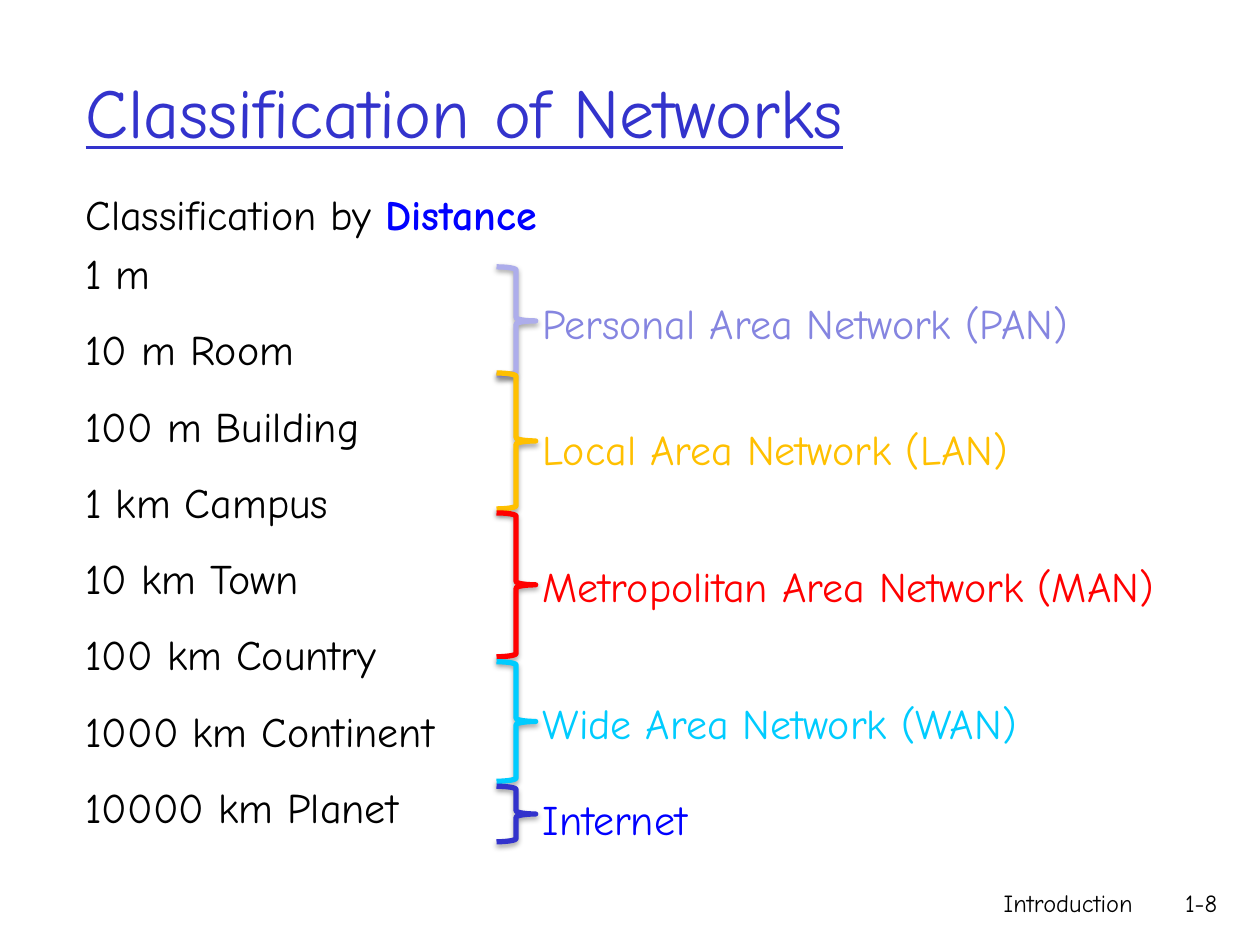
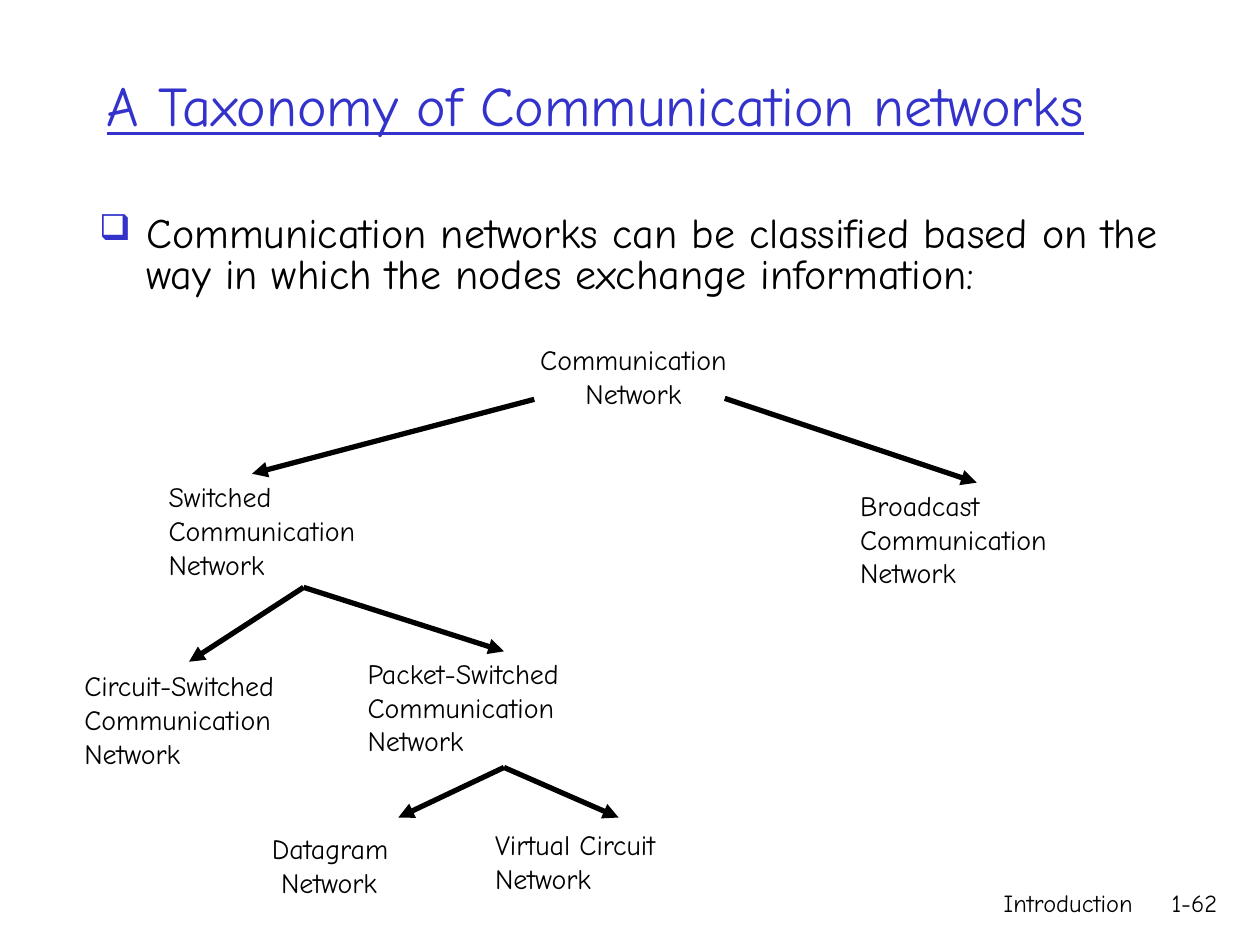
"""Build two slides on how communication networks are classified."""
from lxml import etree
from pptx import Presentation
from pptx import util as u
from pptx.dml.color import RGBColor
from pptx.enum import shapes, text as t
from pptx.oxml.ns import qn

FONT = "Comic Neue"
BLACK, HEADING, BLUE = "000000", "3333CC", "0000FF"
AMBER, RED, CYAN = "FFC000", "FF0000", "00CCFF"


def rgb(value):
    return RGBColor.from_string(value)


def write(slide, words, box, size=24, color=BLACK, align="LEFT", anchor="TOP",
          underline=None, strong="", bullet="", spacing=None, before=0, after=0, holder=None):
    left, top, width, height = [u.Cm(length) for length in box]
    holder = holder or slide.shapes.add_textbox(left, top, width, height)
    holder.left, holder.top, holder.width, holder.height = left, top, width, height
    frame = holder.text_frame
    frame.word_wrap = True
    frame.auto_size = t.MSO_AUTO_SIZE.NONE
    frame.vertical_anchor = t.MSO_ANCHOR[anchor]
    frame.text = words
    for number, paragraph in enumerate(frame.paragraphs):
        if bullet:
            properties = paragraph._p.get_or_add_pPr()
            properties.set("marL", str(u.Cm(0.95)))
            properties.set("indent", str(-u.Cm(0.95)))
            tint = etree.SubElement(properties, qn("a:buClr"))
            etree.SubElement(tint, qn("a:srgbClr"), val=HEADING)
            etree.SubElement(properties, qn("a:buSzPct"), val="85000")
            etree.SubElement(properties, qn("a:buChar"), char=bullet)
        paragraph.alignment = t.PP_ALIGN[align]
        paragraph.line_spacing = spacing
        if number:
            paragraph.space_before, paragraph.space_after = u.Pt(before), u.Pt(after)
        elif strong:
            paragraph.add_run().text = strong
        for line_break in paragraph._p.findall(qn("a:br")):
            etree.SubElement(line_break, qn("a:rPr"), sz=str(size * 100))
        for run in paragraph.runs:
            emphasised = bool(strong) and run.text == strong
            run.font.name, run.font.size = FONT, u.Pt(size)
            run.font.bold, run.font.underline = emphasised, underline
            run.font.color.rgb = rgb(BLUE if emphasised else color)


deck = Presentation()
deck.slide_width, deck.slide_height = u.Cm(25.4), u.Cm(19.05)

pages = []
for heading, box, size, anchor, page_number in [
    ("Classification of Networks", (1.47, 0.64, 21.59, 3.18), 40, "MIDDLE", "1-8"),
    ("A Taxonomy of Communication networks", (1.9, 1.3, 22.2, 2.74), 32, "TOP", "1-62"),
]:
    page = deck.slides.add_slide(deck.slide_layouts[5])
    write(page, heading, box, size=size, color=HEADING, anchor=anchor,
          underline=True, holder=page.shapes.title)
    write(page, "Introduction", (15.04, 17.78, 8.05, 1.27), size=14, align="RIGHT")
    write(page, page_number, (23.06, 17.78, 1.73, 1.27), size=14, align="RIGHT")
    pages.append(page)
by_distance, taxonomy = pages

distances = ["Classification by ", "1 m", "10 m Room", "100 m Building", "1 km Campus",
             "10 km Town", "100 km Country", "1000 km Continent", "10000 km Planet"]
write(by_distance, "\n".join(distances), (1.47, 3.68, 13.08, 14.3),
      strong="Distance", before=4.8, after=10)

for network, label_color, label_top, label_width, brace_color, brace_top, brace_height in [
    ("Personal Area Network (PAN)", "8585E0", 5.87, 12.27, "ADADEB", 5.38, 2.18),
    ("Local Area Network (LAN)", AMBER, 8.41, 11.2, AMBER, 7.52, 2.74),
    ("Metropolitan Area Network (MAN)", RED, 11.18, 14.7, RED, 10.34, 2.9),
    ("Wide Area Network (WAN)", CYAN, 13.94, 11.96, CYAN, 13.34, 2.41),
    ("Internet", BLUE, 15.88, 4.37, HEADING, 15.85, 1.12),
]:
    write(by_distance, network, (10.69, label_top, label_width, 1.27), color=label_color)
    brace = by_distance.shapes.add_shape(
        shapes.MSO_SHAPE.RIGHT_BRACE, u.Cm(10.01), u.Cm(brace_top), u.Cm(0.79), u.Cm(brace_height))
    brace.fill.background()
    brace.line.color.rgb, brace.line.width = rgb(brace_color), u.Pt(3)
    brace.shadow.inherit = False
    effects = brace._element.spPr.find(qn("a:effectLst"))
    shade = etree.SubElement(effects, qn("a:outerShdw"), blurRad=str(u.Pt(3.1)),
                             dist=str(u.Pt(1.8)), dir="5400000", rotWithShape="0")
    shade_color = etree.SubElement(shade, qn("a:srgbClr"), val=BLACK)
    etree.SubElement(shade_color, qn("a:alpha"), val="35000")

write(taxonomy, "Communication networks can be classified based on the way in which "
      "the nodes exchange information:", (1.75, 4.24, 21.87, 13.54), bullet="❑", spacing=0.8)

for kind, left, top, height, align in [
    ("Communication Network", 9.91, 6.78, 1.63, "CENTER"),
    ("Switched\vCommunication Network", 3.15, 9.55, 2.29, "LEFT"),
    ("Broadcast\vCommunication Network", 17.09, 9.73, 2.29, "LEFT"),
    ("Circuit-Switched\vCommunication Network", 1.45, 13.36, 2.29, "LEFT"),
    ("Packet-Switched\vCommunication Network", 7.16, 13.11, 2.29, "LEFT"),
    ("Datagram\v Network", 5.23, 16.64, 1.63, "LEFT"),
    ("Virtual Circuit Network", 9.73, 16.56, 1.63, "LEFT"),
]:
    write(taxonomy, kind, (left, top, 5.72, height), size=16, align=align)

for branch in [
    (10.77, 8.05, 5.08, 9.55),
    (14.61, 8.03, 19.69, 9.73),
    (6.12, 11.84, 3.81, 13.34),
    (6.12, 11.84, 10.16, 13.13),
    (10.16, 15.47, 8.03, 16.48),
    (10.16, 15.47, 12.47, 16.48),
]:
    arrow = taxonomy.shapes.add_connector(
        shapes.MSO_CONNECTOR.STRAIGHT, *[u.Cm(length) for length in branch])
    arrow.line.color.rgb, arrow.line.width = rgb(BLACK), u.Pt(3)
    etree.SubElement(arrow.line._get_or_add_ln(), qn("a:tailEnd"), type="triangle")
    etree.SubElement(arrow._element.spPr, qn("a:effectLst"))

deck.save("out.pptx")
